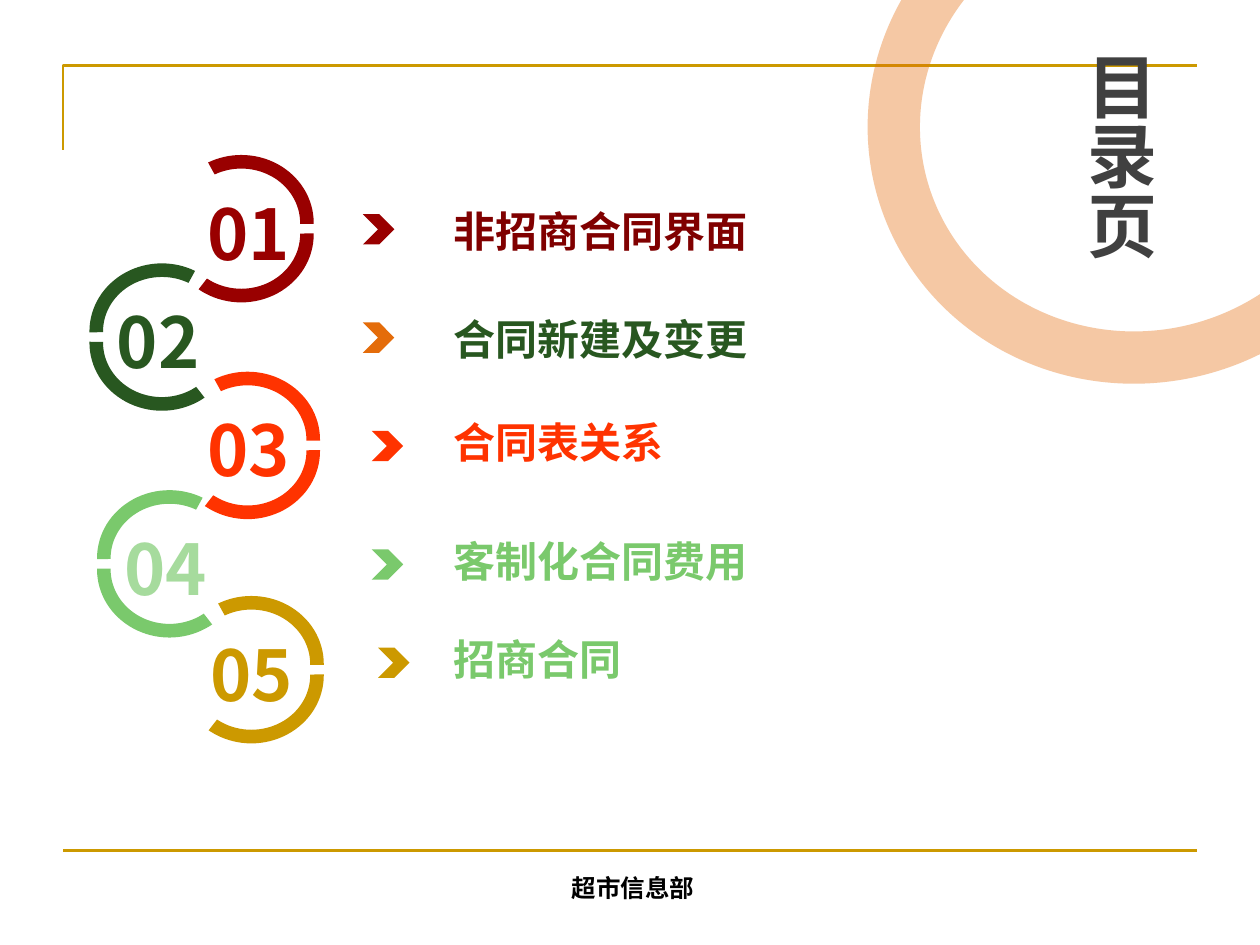
from lxml.etree import SubElement
from pptx import Presentation
from pptx.dml.color import RGBColor
from pptx.enum.shapes import MSO_CONNECTOR, MSO_SHAPE as SHAPE
from pptx.enum.text import MSO_AUTO_SIZE as AUTO_SIZE, PP_ALIGN
from pptx.oxml.ns import qn
from pptx.util import Inches, Pt

SC, JP = "Noto Sans CJK SC", "Noto Sans CJK JP"
GOLD = "CC9900"
ARC_WIDTH, ARC_HEIGHT, ARC_OFFSET = 1.15, 1.08, 0.09
NUMBER_OFFSET = 0.23
UPPER_ARC, LOWER_ARC = (144.75, 0.46, 0.1), (139.29, 0.46, 0.1)

# number, open side, ring left, ring top, number left, ring colour, number colour
RINGS = [
    ("01", "left", 1.34, 1.23, 1.55, "990000", "990000"),
    ("02", "right", 0.71, 2.09, 0.83, "285720", "285720"),
    ("03", "left", 1.39, 2.95, 1.55, "FF3300", "FF3300"),
    ("04", "right", 0.77, 3.89, 0.89, "7AC96C", "A6DB9D"),
    ("05", "left", 1.42, 4.73, 1.57, GOLD, GOLD),
]
# title, top, width, colour, chevron left, chevron top, chevron colour
TOPICS = [
    ("非招商合同界面", 1.58, 2.56, "800000", 2.88, 1.7, "990000"),
    ("合同新建及变更", 2.44, 2.56, "285720", 2.88, 2.56, "E46C0A"),
    ("合同表关系", 3.26, 1.88, "FF3300", 2.95, 3.42, "FF3300"),
    ("客制化合同费用", 4.2, 2.56, "7AC96C", 2.95, 4.36, "7AC96C"),
    ("招商合同", 4.98, 1.55, "7AC96C", 3, 5.14, GOLD),
]


def rgb(value):
    return RGBColor.from_string(value)


def add_shape(shapes, kind, box, color, adjustments=(), flip=""):
    shape = shapes.add_shape(kind, *map(Inches, box))
    shape.shadow.inherit = False
    shape.fill.solid()
    shape.fill.fore_color.rgb = rgb(color)
    shape.line.fill.background()
    for index, value in enumerate(adjustments):
        shape.adjustments[index] = value
    for axis in flip:
        shape._element.spPr.find(qn("a:xfrm")).set("flip" + axis, "1")
    return shape


def add_text(shapes, text, box, size, font_name, color, wrap=False, align=PP_ALIGN.LEFT):
    shape = shapes.add_textbox(*map(Inches, box))
    frame = shape.text_frame
    frame.word_wrap = wrap
    frame.auto_size = AUTO_SIZE.SHAPE_TO_FIT_TEXT
    paragraph = frame.paragraphs[0]
    paragraph.text = text
    paragraph.alignment = align
    font = paragraph.font
    font.size, font.bold, font.name = Pt(size), True, font_name
    font.color.rgb = rgb(color)
    # Chinese characters take the East Asian typeface
    properties = paragraph._p.pPr.find(qn("a:defRPr"))
    SubElement(properties, qn("a:ea")).set("typeface", font_name)
    return shape


presentation = Presentation()
presentation.slide_width, presentation.slide_height = Inches(10), Inches(7.5)
slide = presentation.slides.add_slide(presentation.slide_layouts[6])
shapes = slide.shapes

# Frame lines and footer
builder = shapes.build_freeform(Inches(0.5), Inches(1.19))
builder.add_line_segments(
    [(Inches(0.5), Inches(0.52)), (Inches(9.5), Inches(0.52))], close=False)
corner = builder.convert_to_shape()
corner.shadow.inherit = False
corner.fill.background()
rule = shapes.add_connector(
    MSO_CONNECTOR.STRAIGHT, Inches(0.5), Inches(6.75), Inches(9.5), Inches(6.75))
SubElement(rule._element.spPr, qn("a:effectLst"))
for item in (corner, rule):
    item.line.color.rgb = rgb(GOLD)
    item.line.width = Pt(1.5)
add_text(shapes, "超市信息部", (3.44, 6.88, 3.17, 0.42), 14, SC, "000000",
         wrap=True, align=PP_ALIGN.CENTER)

# Large translucent ring and vertical title
big_ring = add_shape(shapes, SHAPE.BLOCK_ARC, (6.97, -1.2, 4.15, 4.33), "E46C0A",
                     (73.52, 0.46, 0.1), "HV")
big_ring.rotation = 75
ring_color = big_ring._element.spPr.find(qn("a:solidFill"))[0]
SubElement(ring_color, qn("a:alpha")).set("val", "37000")
title = add_text(shapes, "目录页", (8.39, 0.31, 0.88, 2.47), 40, SC, "404040", wrap=True)
title.text_frame._txBody.bodyPr.set("vert", "eaVert")

# Numbered rings, each made of an upper and a lower arc
for number, open_side, left, top, number_left, color, number_color in RINGS:
    group = shapes.add_group_shape().shapes
    flip = "H" if open_side == "right" else ""
    add_shape(group, SHAPE.BLOCK_ARC, (left, top, ARC_WIDTH, ARC_HEIGHT),
              color, UPPER_ARC, flip)
    add_shape(group, SHAPE.BLOCK_ARC, (left, top + ARC_OFFSET, ARC_WIDTH, ARC_HEIGHT),
              color, LOWER_ARC, flip + "V")
    add_text(group, number, (number_left, top + NUMBER_OFFSET, 0.89, 0.77),
             40, SC, number_color)

# Topics with chevrons
for topic, top, width, color, chevron_left, chevron_top, chevron_color in TOPICS:
    add_shape(shapes, SHAPE.CHEVRON, (chevron_left, chevron_top, 0.25, 0.24), chevron_color)
    add_text(shapes, topic, (3.5, top, width, 0.5), 24, JP, color)

presentation.save("out.pptx")
